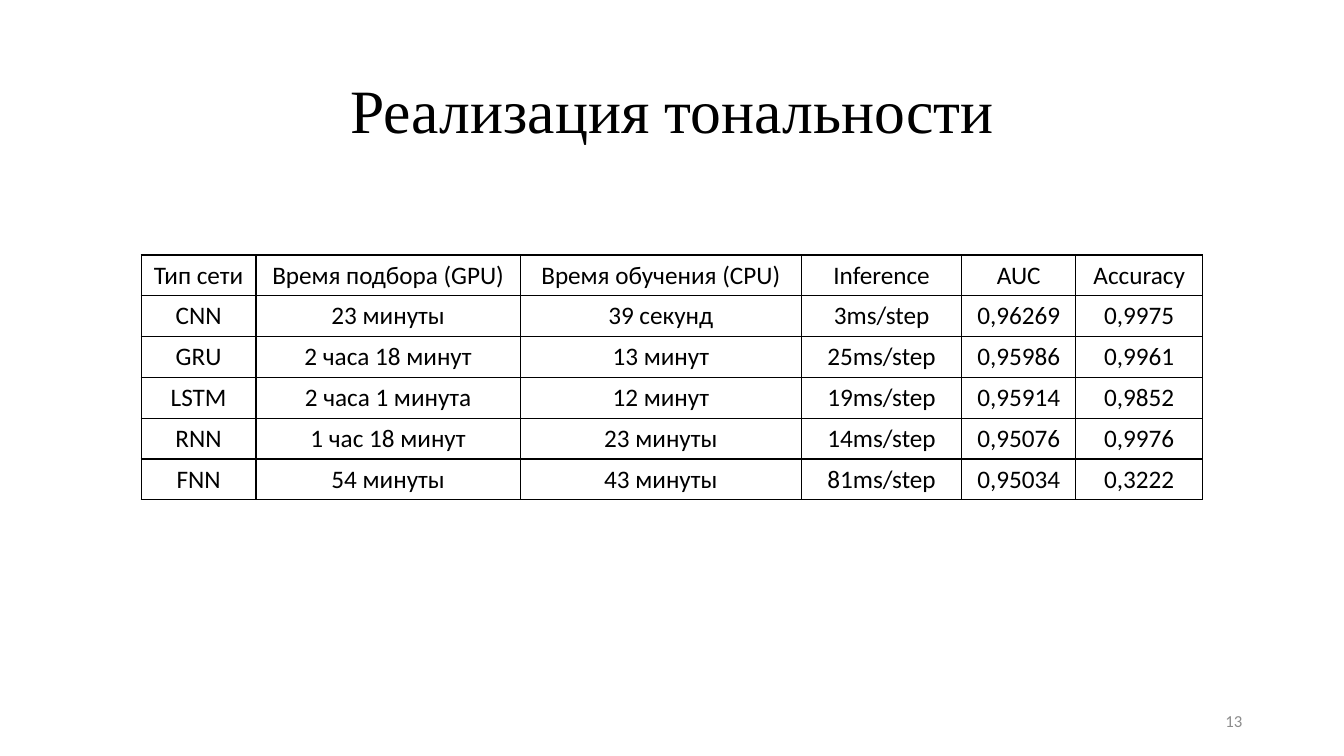
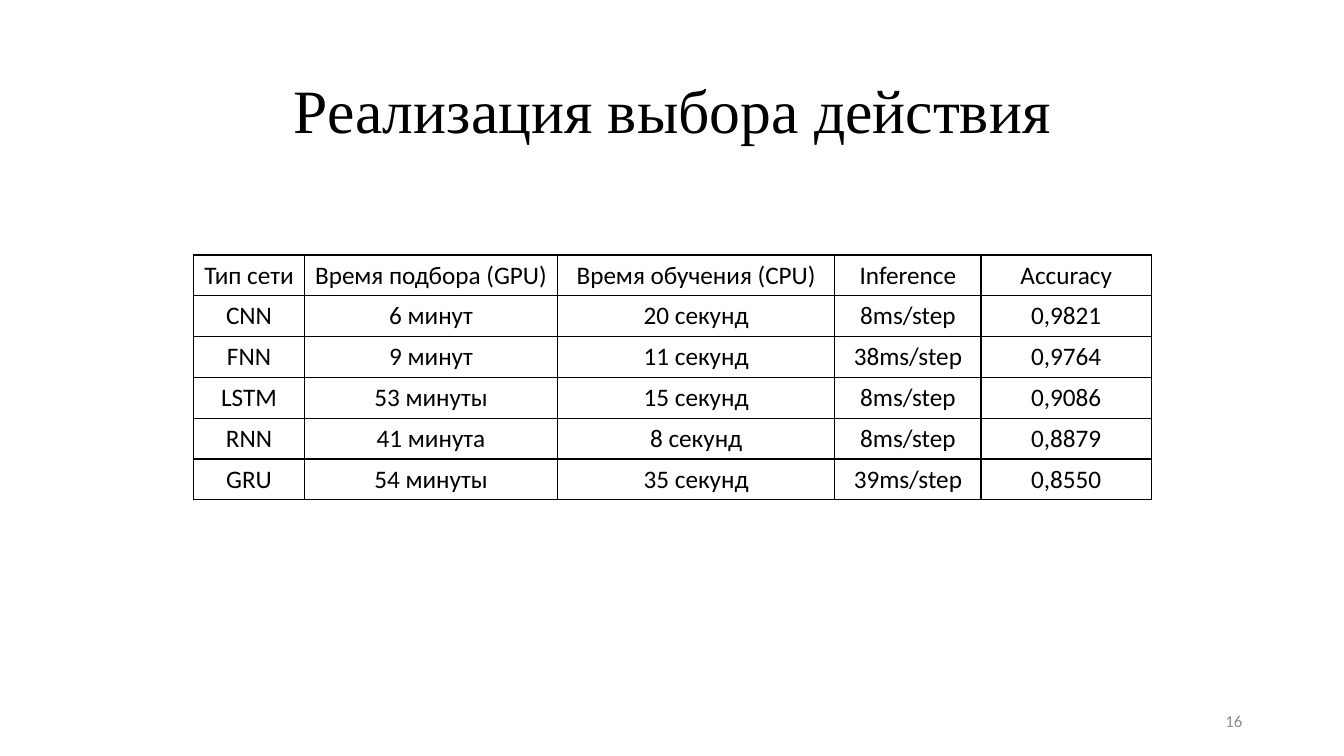
"""Builds two slides that compare neural networks in tables."""
import lxml.etree
import pptx
import pptx.dml.color
import pptx.enum.text
import pptx.oxml.ns
import pptx.util

Inches = pptx.util.Inches
ALIGN = pptx.enum.text.PP_ALIGN
MIDDLE = pptx.enum.text.MSO_ANCHOR.MIDDLE

COLORS = {"ink": "000000", "muted": "8C8C8C"}
TITLE_FONT = "Times New Roman"
BODY_FONT = "Calibri"
TABLE_TOP = 2.53
TABLE_HEIGHT = 2.43

TONE_ROWS = [
    ["Тип сети", "Время подбора (GPU)", "Время обучения (CPU)", "Inference", "AUC", "Accuracy"],
    ["CNN", "23 минуты", "39 секунд", "3ms/step", "0,96269", "0,9975"],
    ["GRU", "2 часа 18 минут", "13 минут", "25ms/step", "0,95986", "0,9961"],
    ["LSTM", "2 часа 1 минута", "12 минут", "19ms/step", "0,95914", "0,9852"],
    ["RNN", "1 час 18 минут", "23 минуты", "14ms/step", "0,95076", "0,9976"],
    ["FNN", "54 минуты", "43 минуты", "81ms/step", "0,95034", "0,3222"],
]
ACTION_ROWS = [
    ["Тип сети", "Время подбора (GPU)", "Время обучения (CPU)", "Inference", "Accuracy"],
    ["CNN", "6 минут", "20 секунд", "8ms/step", "0,9821"],
    ["FNN", "9 минут", "11 секунд", "38ms/step", "0,9764"],
    ["LSTM", "53 минуты", "15 секунд", "8ms/step", "0,9086"],
    ["RNN", "41 минута", "8 секунд", "8ms/step", "0,8879"],
    ["GRU", "54 минуты", "35 секунд", "39ms/step", "0,8550"],
]


def write_text(frame, text, size=18, font=BODY_FONT, color="ink", align=ALIGN.CENTER, spacing=1.0):
    para = frame.paragraphs[0]
    para.alignment = align
    para.line_spacing = spacing
    span = para.add_run()
    span.text = text
    span.font.size = pptx.util.Pt(size)
    span.font.name = font
    span.font.color.rgb = pptx.dml.color.RGBColor.from_string(COLORS[color])


def add_text(page, text, left, top, width, height, **text_format):
    box = page.shapes.add_textbox(Inches(left), Inches(top), Inches(width), Inches(height))
    box.text_frame.word_wrap = True
    box.text_frame.vertical_anchor = MIDDLE
    write_text(box.text_frame, text, **text_format)


def add_borders(cell):
    properties = cell._tc.get_or_add_tcPr()
    for side in ("a:lnL", "a:lnR", "a:lnT", "a:lnB"):
        line = lxml.etree.SubElement(properties, pptx.oxml.ns.qn(side), w=str(pptx.util.Pt(1)))
        fill = lxml.etree.SubElement(line, pptx.oxml.ns.qn("a:solidFill"))
        lxml.etree.SubElement(fill, pptx.oxml.ns.qn("a:srgbClr"), val=COLORS["ink"])


def add_table(page, rows, left, widths):
    frame = page.shapes.add_table(
        len(rows), len(widths), Inches(left), Inches(TABLE_TOP), Inches(sum(widths)), Inches(TABLE_HEIGHT)
    )
    table = frame.table
    table.first_row = False
    table.horz_banding = False
    for column, width in zip(table.columns, widths):
        column.width = Inches(width)
    for row, texts in zip(table.rows, rows):
        for cell, text in zip(row.cells, texts):
            cell.margin_left = cell.margin_right = Inches(0.05)
            add_borders(cell)
            cell.fill.background()
            write_text(cell.text_frame, text)


def add_page(deck, title, number, rows, left, widths):
    page = deck.slides.add_slide(deck.slide_layouts[6])
    add_text(page, title, 0.92, 0.4, 11.5, 1.45, size=44, font=TITLE_FONT, spacing=0.9)
    add_table(page, rows, left, widths)
    add_text(page, str(number), 9.42, 6.95, 3, 0.4, size=12, color="muted", align=ALIGN.RIGHT)


def main():
    deck = pptx.Presentation()
    deck.slide_width = Inches(13.33)
    deck.slide_height = Inches(7.5)
    add_page(deck, "Реализация тональности", 13, TONE_ROWS, 1.4, [1.14, 2.62, 2.79, 1.59, 1.13, 1.26])
    add_page(deck, "Реализация выбора действия", 16, ACTION_ROWS, 1.92, [1.1, 2.51, 2.75, 1.45, 1.69])
    deck.save("out.pptx")


if __name__ == "__main__":
    main()
